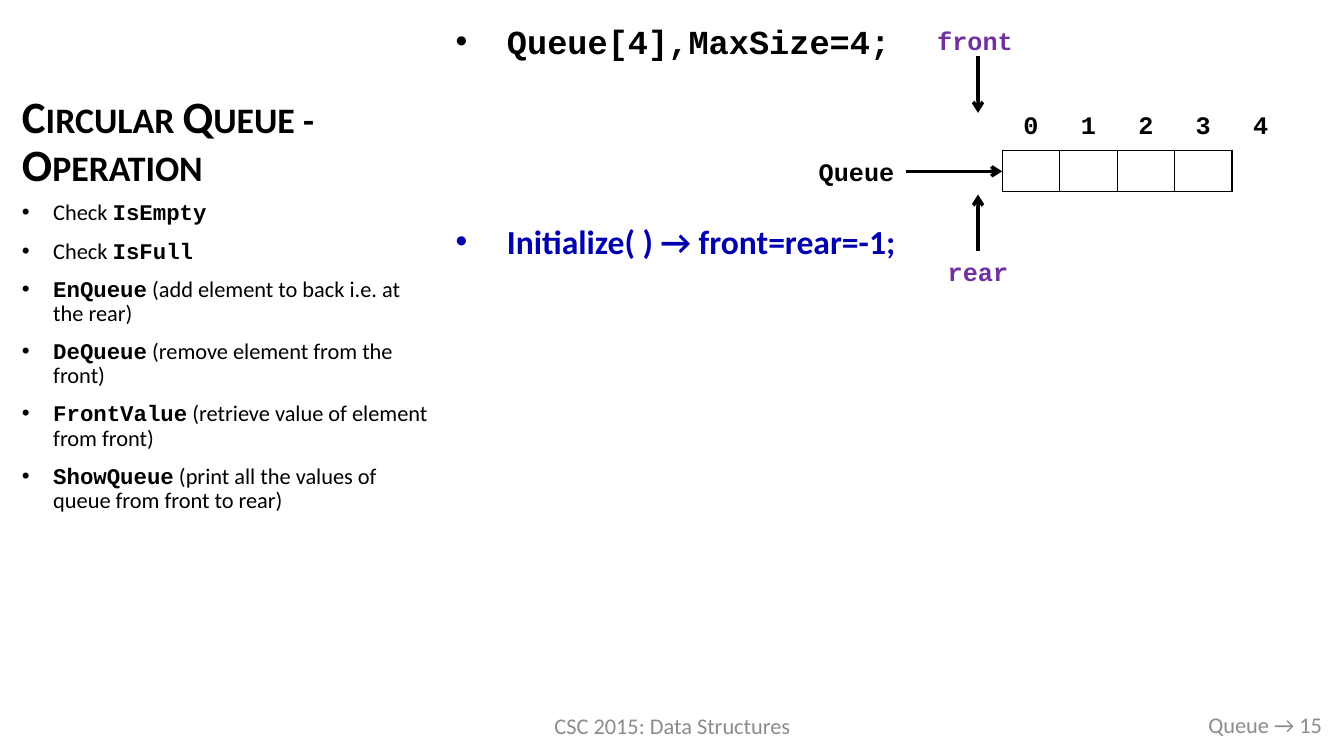
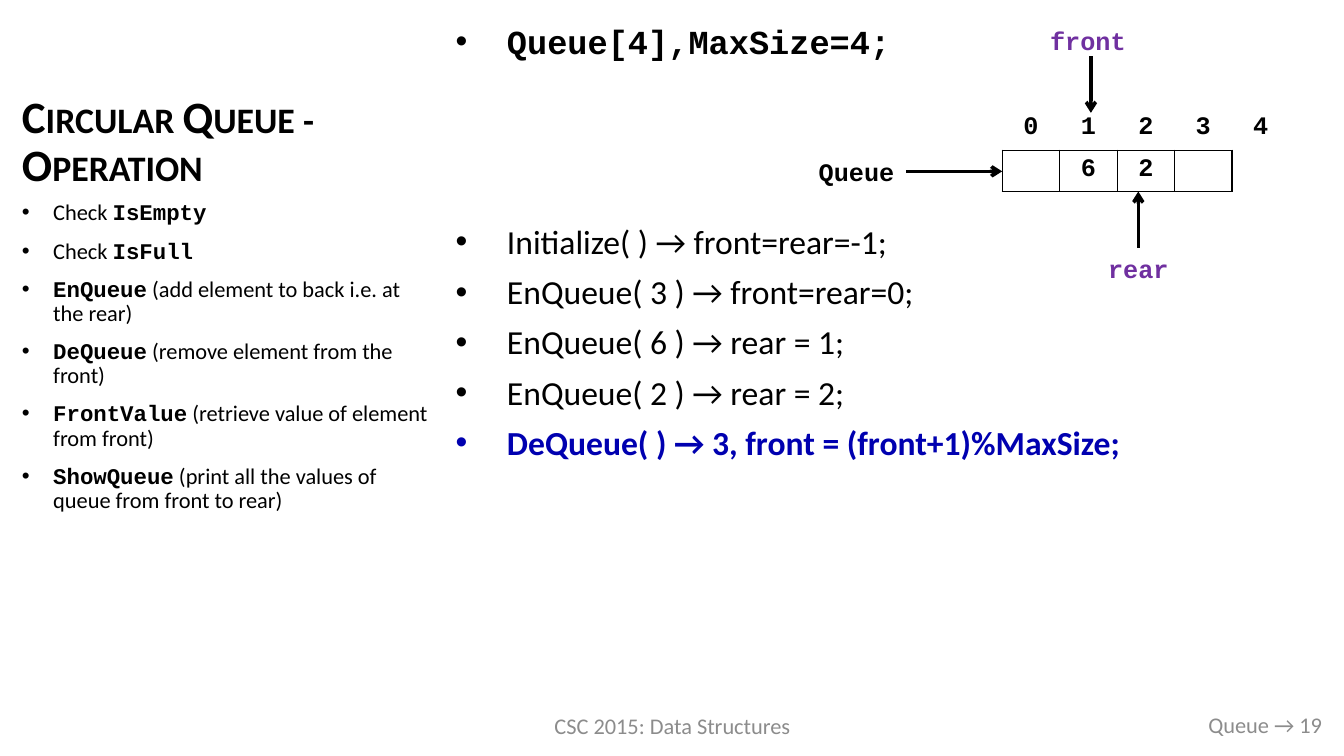
"""Build two slides that trace the operations of a circular queue."""
from dataclasses import dataclass

import pptx
import pptx.dml.color
import pptx.enum.shapes
import pptx.enum.text
import pptx.oxml
import pptx.oxml.ns
import pptx.util
from pptx.util import Inches

ALIGN = pptx.enum.text.PP_ALIGN
ANCHOR = pptx.enum.text.MSO_ANCHOR


@dataclass(frozen=True)
class Theme:
    body: str = "Calibri"
    code: str = "Courier New"
    black: str = "000000"
    accent: str = "0000B0"
    pointer: str = "7030A0"
    muted: str = "8C8C8C"
    title_size: int = 32
    step_size: int = 24
    label_size: int = 18
    small_size: int = 16
    arrow_width: float = 2.5
    gap: int = 10
    step_gap: int = 117


THEME = Theme()
TITLE = "Circular Queue - Operation"
DECLARATION = "Queue[4],MaxSize=4;"
OPERATIONS = [
    [("Check ", False), ("IsEmpty", True)],
    [("Check ", False), ("IsFull", True)],
    [("EnQueue", True), (" (add element to back i.e. at the rear)", False)],
    [("DeQueue", True), (" (remove element from the front)", False)],
    [("FrontValue", True), (" (retrieve value of element from front)", False)],
    [("ShowQueue", True), (" (print all the values of queue from front to rear)", False)],
]
STEPS = [
    "Initialize( ) → front=rear=-1;",
    "EnQueue( 3 ) → front=rear=0;",
    "EnQueue( 6 ) → rear = 1;",
    "EnQueue( 2 ) → rear = 2;",
    "DeQueue( ) → 3, front = (front+1)%MaxSize;",
]
SLIDES = [
    {"number": 15, "steps": STEPS[:1], "values": ["", "", "", ""],
     "front_x": 9.7, "rear_x": 9.7, "rear_top": 2.49},
    {"number": 19, "steps": STEPS, "values": ["", "6", "2", ""],
     "front_x": 10.82, "rear_x": 11.29, "rear_top": 2.46},
]


def apply_format(target, values):
    for name, value in values.items():
        setattr(target, name, value)


def add_xml(parent, tag, **attributes):
    element = pptx.oxml.parse_xml(f"<a:{tag} {pptx.oxml.ns.nsdecls('a')}/>")
    for name, value in attributes.items():
        element.set(name, str(value))
    parent.append(element)
    return element


def add_run(paragraph, text, size, font=THEME.body, color=THEME.black, bold=False):
    run = paragraph.add_run()
    run.text = text
    apply_format(run.font, {"size": pptx.util.Pt(size), "name": font, "bold": bold})
    run.font.color.rgb = pptx.dml.color.RGBColor.from_string(color)
    return run


def add_code(paragraph, text, color=THEME.black):
    add_run(paragraph, text, THEME.label_size, THEME.code, color, True)
    paragraph.alignment = ALIGN.CENTER


def add_text_box(slide, left, top, width, height, anchor=ANCHOR.TOP):
    box = slide.shapes.add_textbox(*map(Inches, (left, top, width, height)))
    apply_format(box.text_frame, {"word_wrap": True, "vertical_anchor": anchor})
    return box.text_frame


def add_bullet(frame, indent, gap=THEME.gap):
    """Return a bulleted paragraph, reusing the frame's first one if it is empty."""
    paragraph = frame.paragraphs[0]
    if paragraph.runs:
        paragraph = frame.add_paragraph()
    apply_format(paragraph, {"line_spacing": 0.9, "space_before": pptx.util.Pt(gap)})
    properties = paragraph._p.get_or_add_pPr()
    properties.set("marL", str(Inches(indent)))
    properties.set("indent", str(-Inches(indent)))
    add_xml(properties, "buFont", typeface="Arial")
    add_xml(properties, "buChar", char="•")
    return paragraph


def add_title(slide):
    paragraph = add_text_box(slide, 0.12, 0.2, 4.3, 1.75, ANCHOR.BOTTOM).paragraphs[0]
    paragraph.line_spacing = 0.9
    run = add_run(paragraph, TITLE, THEME.title_size, bold=True)
    run.font._element.set("cap", "small")


def add_operations(slide):
    frame = add_text_box(slide, 0.12, 1.95, 4.3, 5.01)
    for operation in OPERATIONS:
        paragraph = add_bullet(frame, 0.31)
        for text, is_code in operation:
            font = THEME.code if is_code else THEME.body
            add_run(paragraph, text, THEME.small_size, font, bold=is_code)


def add_steps(slide, steps):
    """List the declaration and the steps, with the latest step highlighted."""
    frame = add_text_box(slide, 4.42, 0.2, 8.46, 6.76)
    add_run(add_bullet(frame, 0.51), DECLARATION, THEME.step_size, THEME.code, bold=True)
    for index, step in enumerate(steps):
        latest = index == len(steps) - 1
        paragraph = add_bullet(frame, 0.51, THEME.gap if index else THEME.step_gap)
        color = THEME.accent if latest else THEME.black
        add_run(paragraph, step, THEME.step_size, color=color, bold=latest)


def add_footer(slide, number):
    for text, area, alignment in (
        ("CSC 2015: Data Structures", (4.42, 7, 4.5, 0.4), ALIGN.CENTER),
        (f"Queue → {number}", (9.42, 6.99, 3.79, 0.4), ALIGN.RIGHT),
    ):
        paragraph = add_text_box(slide, *area, ANCHOR.MIDDLE).paragraphs[0]
        paragraph.alignment = alignment
        add_run(paragraph, text, THEME.small_size, color=THEME.muted)


def set_borders(cell, sides):
    """Draw the named sides in black, hide the others and leave the cell unfilled."""
    properties = cell._tc.get_or_add_tcPr()
    for side in "LRTB":
        line = add_xml(properties, f"ln{side}", w=pptx.util.Pt(1))
        if side in sides:
            add_xml(add_xml(line, "solidFill"), "srgbClr", val=THEME.black)
        else:
            add_xml(line, "noFill")
    cell.fill.background()


def add_queue_table(slide, values):
    """Show the indexes above the cells of the queue."""
    size = len(values)
    rows = [[str(index) for index in range(size + 1)], values + [""]]
    frame = slide.shapes.add_table(2, size + 1, *map(Inches, (9.94, 1.08, 2.85, 0.82)))
    table = frame.table
    apply_format(table, {"first_row": False, "horz_banding": False})
    for row in table.rows:
        row.height = Inches(0.41)
    for column in table.columns:
        column.width = Inches(0.57)
    for row, texts in enumerate(rows):
        for column, text in enumerate(texts):
            cell = table.cell(row, column)
            if column < size:
                set_borders(cell, "LRTB" if row else "B")
            else:
                set_borders(cell, "L" if row else "")
            if text:
                add_code(cell.text_frame.paragraphs[0], text)


def add_arrow(slide, start, end):
    connector = slide.shapes.add_connector(
        pptx.enum.shapes.MSO_CONNECTOR.STRAIGHT, *map(Inches, start + end))
    line = connector.line
    line.width = pptx.util.Pt(THEME.arrow_width)
    line.color.rgb = pptx.dml.color.RGBColor.from_string(THEME.black)
    add_xml(line._get_or_add_ln(), "tailEnd", type="arrow")
    add_xml(connector._element.spPr, "effectLst")


def add_pointer(slide, text, area, start, end, color=THEME.pointer):
    """Add a code label and the arrow that leads from it."""
    add_code(add_text_box(slide, *area).paragraphs[0], text, color)
    add_arrow(slide, start, end)


def add_queue_slide(presentation, number, steps, values, front_x, rear_x, rear_top):
    slide = presentation.slides.add_slide(presentation.slide_layouts[6])
    add_title(slide)
    add_steps(slide, steps)
    add_operations(slide)
    add_footer(slide, number)
    add_queue_table(slide, values)
    add_pointer(slide, "rear", (rear_x - 0.42, rear_top, 0.84, 0.4),
                (rear_x, rear_top), (rear_x, rear_top - 0.56))
    add_pointer(slide, "front", (front_x - 0.54, 0.2, 1.02, 0.4),
                (front_x, 0.56), (front_x, 1.12))
    add_pointer(slide, "Queue", (8, 1.5, 0.99, 0.4), (8.99, 1.7), (9.94, 1.7), THEME.black)


def main():
    presentation = pptx.Presentation()
    apply_format(presentation, {"slide_width": Inches(13.33), "slide_height": Inches(7.5)})
    for content in SLIDES:
        add_queue_slide(presentation, **content)
    presentation.save("out.pptx")


main()
